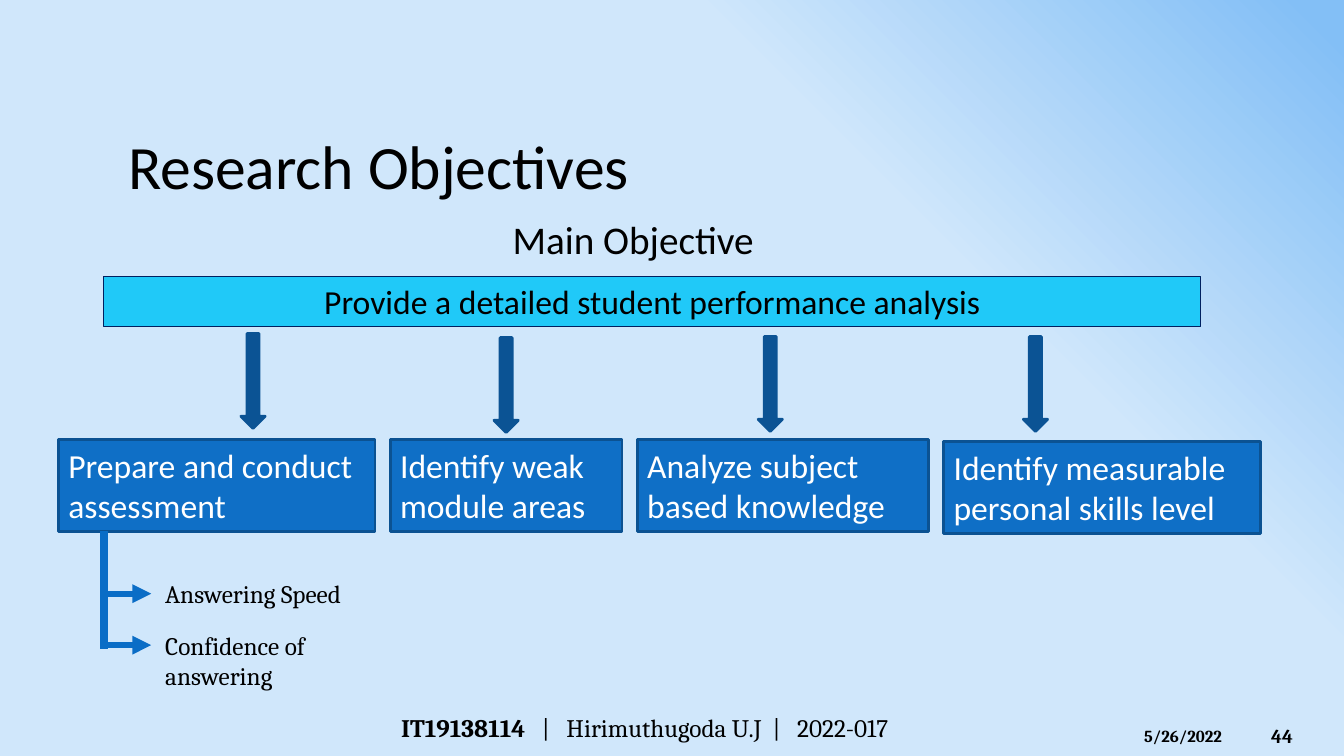
from lxml import etree
from pptx import Presentation
from pptx.dml.color import RGBColor
from pptx.enum import shapes, text
from pptx.oxml.ns import qn
from pptx.util import Inches, Pt

TITLE = "Research Objectives"
HEADING = "Main Objective"
MAIN_OBJECTIVE = "Provide a detailed student performance analysis"
# text, left, top, width of the box, then centre and top of its arrow
OBJECTIVES = [
    ("Prepare and conduct assessment", 0.58, 4.36, 3.14, 2.51, 3.31),
    ("Identify weak module areas", 3.87, 4.36, 2.3, 5.02, 3.35),
    ("Analyze subject based knowledge", 6.32, 4.36, 2.89, 7.64, 3.34),
    ("Identify measurable personal skills level", 9.36, 4.38, 3.14, 10.27, 3.34),
]
# text, arrow height, box width, box height
MEASURES = [
    ("Answering Speed", 5.89, 2.3, 0.4),
    ("Confidence of answering", 6.4, 2.49, 0.71),
]
STUDENT_ID, STUDENT = "IT19138114", "   |   Hirimuthugoda U.J  |   2022-017"
DATE, PAGE = "5/26/2022", "44"

THEME = {
    "head": "Calibri", "body": "Cambria",
    "title": 44, "heading": 28, "box": 24, "small": 18, "page": 14, "date": 12,
    "black": "000000", "white": "FFFFFF",
    "bg": "D0E7FB", "bg_corner": "83BFF6",
    "bar": "20C9F8", "bar_line": "002060",
    "objective": "0F6FC6", "objective_line": "0B5292",
    "arrow": "0B5394", "branch": "0A6DC6",
}
BOX_H, ARROW_W, ARROW_H = 0.91, 0.24, 0.94
TRUNK_X, TRUNK_END, BRANCH_END = 1.03, 6.44, 1.5


def color(name):
    return RGBColor.from_string(THEME[name])


def write(sp, *runs, size, font="head", fill="black", align="LEFT", anchor="TOP"):
    """Fill a shape with one paragraph; each run is a (text, bold) pair."""
    tf = sp.text_frame
    tf.word_wrap = True
    tf.auto_size = text.MSO_AUTO_SIZE.NONE
    tf.vertical_anchor = getattr(text.MSO_ANCHOR, anchor)
    p = tf.paragraphs[0]
    p.alignment = getattr(text.PP_ALIGN, align)
    for words, bold in runs:
        r = p.add_run()
        r.text = words
        r.font.name, r.font.size = THEME[font], Pt(THEME[size])
        r.font.bold, r.font.color.rgb = bold, color(fill)


def add_text(s, box, *runs, **fmt):
    write(s.shapes.add_textbox(*map(Inches, box)), *runs, **fmt)


def add_block(s, kind, box, fill, line, width):
    sp = s.shapes.add_shape(kind, *map(Inches, box))
    sp.shadow.inherit = False
    sp.fill.solid()
    sp.fill.fore_color.rgb = color(fill)
    sp.line.color.rgb = color(line)
    sp.line.width = Pt(width)
    return sp


def add_line(s, start, end, width, arrow=False):
    c = s.shapes.add_connector(shapes.MSO_CONNECTOR.STRAIGHT, *map(Inches, start + end))
    c.line.color.rgb = color("branch")
    c.line.width = Pt(width)
    if arrow:
        etree.SubElement(c.line._get_or_add_ln(), qn("a:tailEnd"), type="triangle")
    etree.SubElement(c._element.spPr, qn("a:effectLst"))


def set_background(s):
    fill = s.background.fill
    fill.gradient()
    fill.gradient_angle = 45
    for stop, name, position in zip(fill.gradient_stops, ("bg", "bg_corner"), (0.69, 0.98)):
        stop.color.rgb = color(name)
        stop.position = position


def main():
    prs = Presentation()
    prs.slide_width, prs.slide_height = Inches(13.33), Inches(7.5)
    s = prs.slides.add_slide(prs.slide_layouts[5])
    set_background(s)

    title = s.shapes.title
    title.left, title.top, title.width, title.height = map(Inches, (1.17, 0.83, 11.33, 1.61))
    write(title, (TITLE, False), size="title", anchor="MIDDLE")
    add_text(s, (4.96, 2.04, 2.64, 0.66), (HEADING, False),
             size="heading", align="CENTER", anchor="MIDDLE")

    rect, down = shapes.MSO_SHAPE.RECTANGLE, shapes.MSO_SHAPE.DOWN_ARROW
    bar = add_block(s, rect, (1.03, 2.74, 10.88, 0.5), "bar", "bar_line", 0.75)
    write(bar, (MAIN_OBJECTIVE, False), size="box", align="CENTER")

    for words, left, top, width, arrow_x, arrow_top in OBJECTIVES:
        sp = add_block(s, rect, (left, top, width, BOX_H), "objective", "objective_line", 2)
        write(sp, (words, False), size="box", fill="white")
        add_block(s, down, (arrow_x - ARROW_W / 2, arrow_top, ARROW_W, ARROW_H),
                  "arrow", "arrow", 2)

    trunk_top = OBJECTIVES[0][2] + BOX_H
    add_line(s, (TRUNK_X, trunk_top), (TRUNK_X, TRUNK_END), 6)
    for words, y, width, height in MEASURES:
        add_line(s, (TRUNK_X, y), (BRANCH_END, y), 4.5, arrow=True)
        add_text(s, (BRANCH_END + 0.04, y - 0.2, width, height), (words, False),
                 size="small", font="body")

    add_text(s, (3.88, 7.02, 7.45, 0.4), (STUDENT_ID, True), (STUDENT, False),
             size="small", font="body", anchor="MIDDLE")
    add_text(s, (11.25, 7.15, 1.17, 0.3), (DATE, True), size="date", font="body")
    add_text(s, (12.51, 7.1, 0.74, 0.4), (PAGE, True),
             size="page", font="body", anchor="MIDDLE")
    prs.save("out.pptx")


if __name__ == "__main__":
    main()
